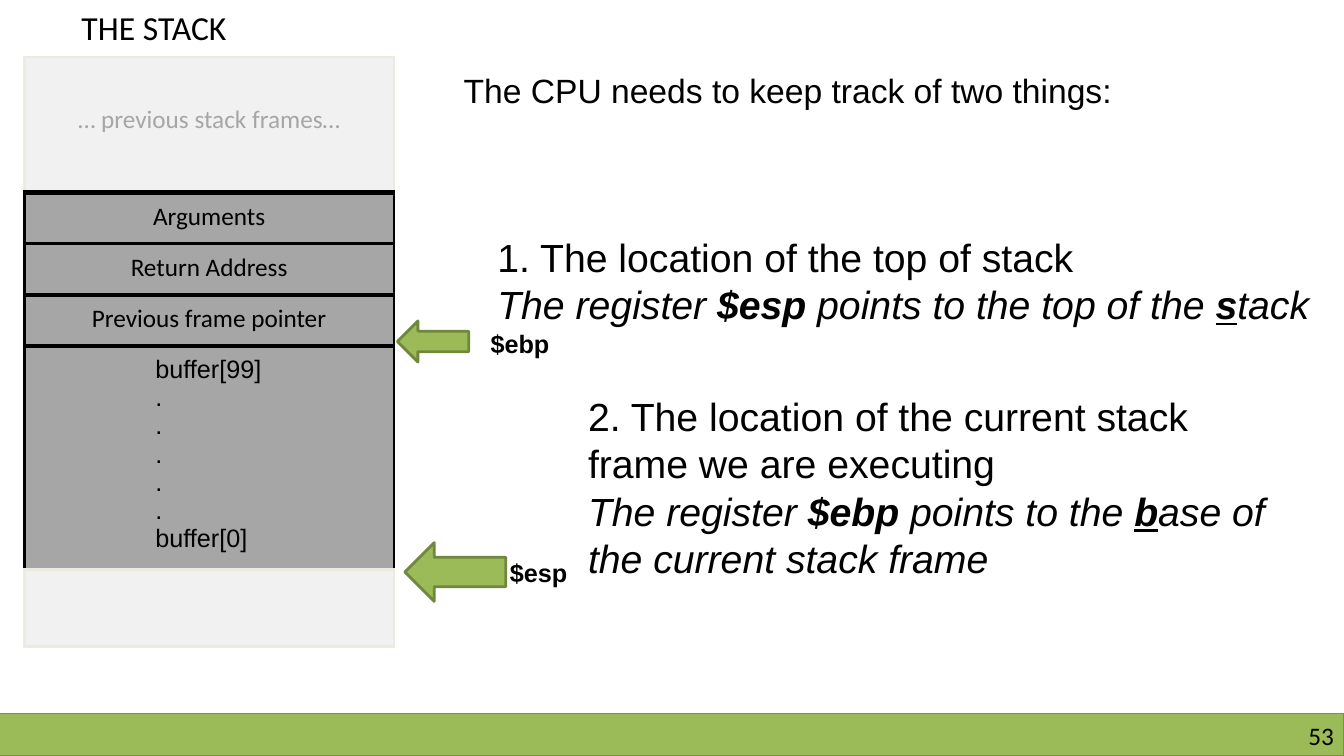
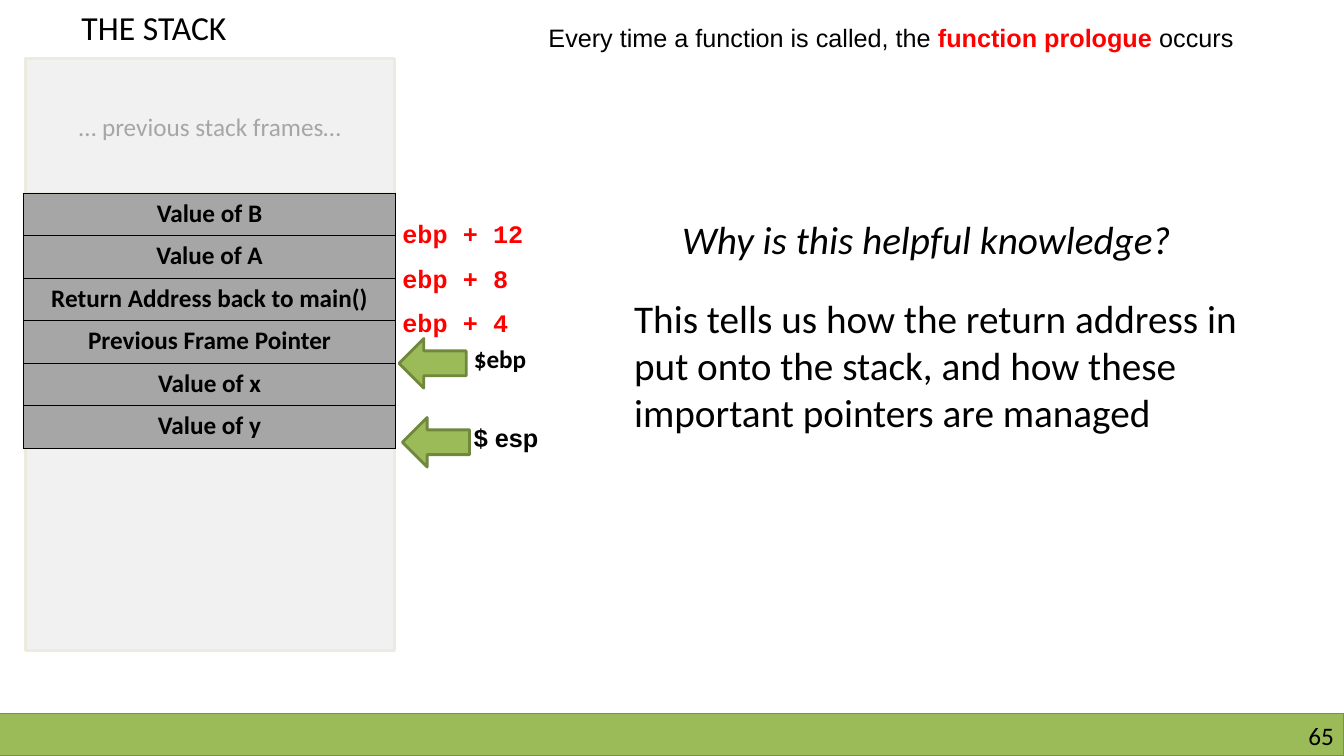
"""Build two slides on stack frames and the registers that point into them."""
from lxml import etree
from pptx import Presentation
from pptx.dml.color import RGBColor
from pptx.enum.shapes import MSO_SHAPE
from pptx.enum.text import MSO_ANCHOR, PP_ALIGN
from pptx.oxml.ns import qn
from pptx.util import Emu, Inches, Pt

RECTANGLE, LEFT_ARROW = MSO_SHAPE.RECTANGLE, MSO_SHAPE.LEFT_ARROW
LEFT, CENTER, RIGHT = PP_ALIGN.LEFT, PP_ALIGN.CENTER, PP_ALIGN.RIGHT
TOP, MIDDLE = MSO_ANCHOR.TOP, MSO_ANCHOR.MIDDLE

BLACK = RGBColor(0x00, 0x00, 0x00)
RED = RGBColor(0xFF, 0x00, 0x00)
GREEN = RGBColor(0x9B, 0xBB, 0x59)
BAR_EDGE = RGBColor(0x77, 0x93, 0x3C)
ARROW_EDGE = RGBColor(0x70, 0x88, 0x3E)
GREY = RGBColor(0xA6, 0xA6, 0xA6)
PALE = RGBColor(0xF1, 0xF1, 0xF1)
PALE_EDGE = RGBColor(0xED, 0xEB, 0xE0)
COLORS = {"red": RED, "grey": GREY}
SANS, BODY, MONO = "Arial", "Calibri", "Courier New"

presentation = Presentation()
presentation.slide_width = Inches(13.33)
presentation.slide_height = Inches(7.5)
COLUMN = presentation.slide_width / 160
ROW = presentation.slide_height / 90


def place(left, top, width, height):
    """Turn grid columns and rows into slide lengths."""
    return (Emu(round(left * COLUMN)), Emu(round(top * ROW)),
            Emu(round(width * COLUMN)), Emu(round(height * ROW)))


def write(frame, paragraphs, font_name, size, alignment=LEFT, line_spacing=None):
    """Fill a text frame with paragraphs made of (text, style) runs."""
    for index, runs in enumerate(paragraphs):
        paragraph = frame.add_paragraph() if index else frame.paragraphs[0]
        paragraph.alignment = alignment
        paragraph.line_spacing = line_spacing
        for text, style in runs:
            run = paragraph.add_run()
            run.text = text
            words = style.split()
            run.font.name = font_name
            run.font.size = Pt(size)
            run.font.bold = "bold" in words
            run.font.italic = "italic" in words
            run.font.underline = "underline" in words
            run.font.color.rgb = next((COLORS[word] for word in words if word in COLORS), BLACK)


PREVIOUS_FRAMES = [[("… previous stack frames…", "grey")]]
BUFFER = [[(line, "")] for line in ("buffer[99]", *"." * 5, "buffer[0]")]
OLD_SIDE, OLD_RULE = (PALE_EDGE, 2.25), (PALE_EDGE, 3)
SIDE, RULE, FRAME_TOP, THIN = (BLACK, 2.25), (BLACK, 3), (BLACK, 4.5), (BLACK, 1)

track_rows = [(16.1, PREVIOUS_FRAMES, PALE, OLD_SIDE)]
for label in ("Arguments", "Return Address", "Previous frame pointer"):
    track_rows.append((6.1, [[(label, "")]], GREY, SIDE))
track_rows += [(26.6, BUFFER, GREY, SIDE), (9.2, [], PALE, OLD_SIDE)]

prologue_rows = [
    (5.06, [[(label, "bold")]], GREY, THIN)
    for label in ("Value of B", "Value of A", "Return Address back to main()",
                  "Previous Frame Pointer", "Value of x", "Value of y")
]

slides = [
    {
        "number": "53",
        "frames": [],
        "table": (2.9, 6.8, 44),
        "rows": track_rows,
        "rules": [OLD_SIDE, FRAME_TOP, RULE, RULE, RULE, OLD_RULE, OLD_SIDE],
        "cell_top": 1.1,
        "arrows": [(48.2, 64.6, 12, 7), (47.3, 38.2, 8.5, 4.9)],
        "texts": [
            ((55.2, 8.3, 84, 5), SANS, 24, None,
             [[("The CPU needs to keep track of two things:", "")]]),
            ((59.2, 27.7, 99.6, 16), SANS, 28, Pt(34),
             [[("1. The location of the top of stack", "")],
              [("The register ", "italic"), ("$esp ", "bold italic"),
               ("points to the top of the ", "italic"),
               ("s", "bold italic underline"), ("tack", "italic")]]),
            ((70, 46.6, 82.6, 28), SANS, 28, Pt(34),
             [[("2. The location of the current stack frame we are executing", "")],
              [("The register ", "italic"), ("$ebp ", "bold italic"),
               ("points to the ", "italic"), ("b", "bold italic underline"),
               ("ase of the current stack frame", "italic")]]),
            ((60.7, 66.3, 9, 4), SANS, 18, None, [[("$esp", "bold")]]),
            ((58.4, 39.1, 9, 4), SANS, 18, None, [[("$ebp", "bold")]]),
        ],
    },
    {
        "number": "65",
        "frames": [((3, 7, 44, 16), PREVIOUS_FRAMES), ((3, 23, 44, 54.4), [])],
        "table": (2.8, 23, 44.3),
        "rows": prologue_rows,
        "rules": [THIN] * 7,
        "cell_top": 0.6,
        "arrows": [(47.5, 40.3, 8, 5.9), (47.9, 49.7, 8, 5.9)],
        "texts": [
            ((65.3, 2.7, 84, 3.5), SANS, 18, None,
             [[("Every time a function is called, the ", ""),
               ("function prologue ", "bold red"), ("occurs", "")]]),
            ((56.4, 40.9, 8, 4), BODY, 18, None, [[("$ebp", "bold")]]),
            ((56.4, 50.3, 9, 4), SANS, 18, None, [[("$ esp", "bold")]]),
            ((81.2, 25.6, 64, 6), BODY, 28, None,
             [[("Why is this helpful knowledge?", "italic")]]),
            ((75.5, 35, 75.8, 17), BODY, 28, None,
             [[("This tells us how the return address in put onto the stack, "
                "and how these important pointers are managed", "")]]),
        ] + [
            ((47.9, 26 + 5.3 * index, 17, 4), MONO, 18, None, [[(label, "bold red")]])
            for index, label in enumerate(("ebp + 12", "ebp + 8", "ebp + 4"))
        ],
    },
]

for content in slides:
    slide = presentation.slides.add_slide(presentation.slide_layouts[5])
    shapes = slide.shapes

    title = shapes.title
    title.left, title.top, title.width, title.height = place(9.7, 0.8, 26.5, 5.8)
    write(title.text_frame, [[("THE STACK", "")]], BODY, 24)

    blocks = [(RECTANGLE, (0, 85, 160, 5), GREEN, BAR_EDGE, 0.75, [])]
    blocks += [(RECTANGLE, area, PALE, PALE_EDGE, 2, text) for area, text in content["frames"]]
    blocks += [(LEFT_ARROW, area, GREEN, ARROW_EDGE, 2, []) for area in content["arrows"]]
    for kind, area, fill, edge, edge_width, text in blocks:
        block = shapes.add_shape(kind, *place(*area))
        block.shadow.inherit = False
        block.fill.solid()
        block.fill.fore_color.rgb = fill
        block.line.color.rgb = edge
        block.line.width = Pt(edge_width)
        block.text_frame.vertical_anchor = MIDDLE
        write(block.text_frame, text, BODY, 18, CENTER)

    rows, rules = content["rows"], content["rules"]
    area = place(*content["table"], sum(row[0] for row in rows))
    table = shapes.add_table(len(rows), 1, *area).table
    table.first_row = table.horz_banding = False
    for index, (height, text, fill, side) in enumerate(rows):
        table.rows[index].height = Emu(round(height * ROW))
        cell = table.cell(index, 0)
        is_buffer, is_previous = text is BUFFER, text is PREVIOUS_FRAMES
        cell.margin_left = Emu(round(15.6 * COLUMN)) if is_buffer else 0
        cell.margin_right = 0
        cell.margin_top = 0 if is_previous else Emu(round(content["cell_top"] * ROW))
        cell.margin_bottom = Emu(round(1.2 * ROW)) if is_previous else 0
        cell.vertical_anchor = MIDDLE if is_previous else TOP
        if is_buffer:
            write(cell.text_frame, text, SANS, 18, LEFT, Pt(20.2))
        else:
            write(cell.text_frame, text, BODY, 18, CENTER)
        properties = cell._tc.get_or_add_tcPr()
        edges = (("L", side), ("R", side), ("T", rules[index]), ("B", rules[index + 1]))
        for letter, (color, width) in edges:
            border = etree.SubElement(properties, qn(f"a:ln{letter}"), w=str(Pt(width)))
            solid = etree.SubElement(border, qn("a:solidFill"))
            etree.SubElement(solid, qn("a:srgbClr"), val=str(color))
        cell.fill.solid()
        cell.fill.fore_color.rgb = fill

    number = ((122, 85.8, 36.8, 3.6), BODY, 18, None, [[(content["number"], "")]])
    frames = [title.text_frame]
    for text_item in content["texts"] + [number]:
        area, font_name, size, line_spacing, paragraphs = text_item
        frame = shapes.add_textbox(*place(*area)).text_frame
        alignment = RIGHT if text_item is number else LEFT
        write(frame, paragraphs, font_name, size, alignment, line_spacing)
        frames.append(frame)
    for frame in frames:
        frame.word_wrap = True
        frame.vertical_anchor = TOP
        frame.margin_left = frame.margin_right = frame.margin_top = frame.margin_bottom = 0

presentation.save("out.pptx")
